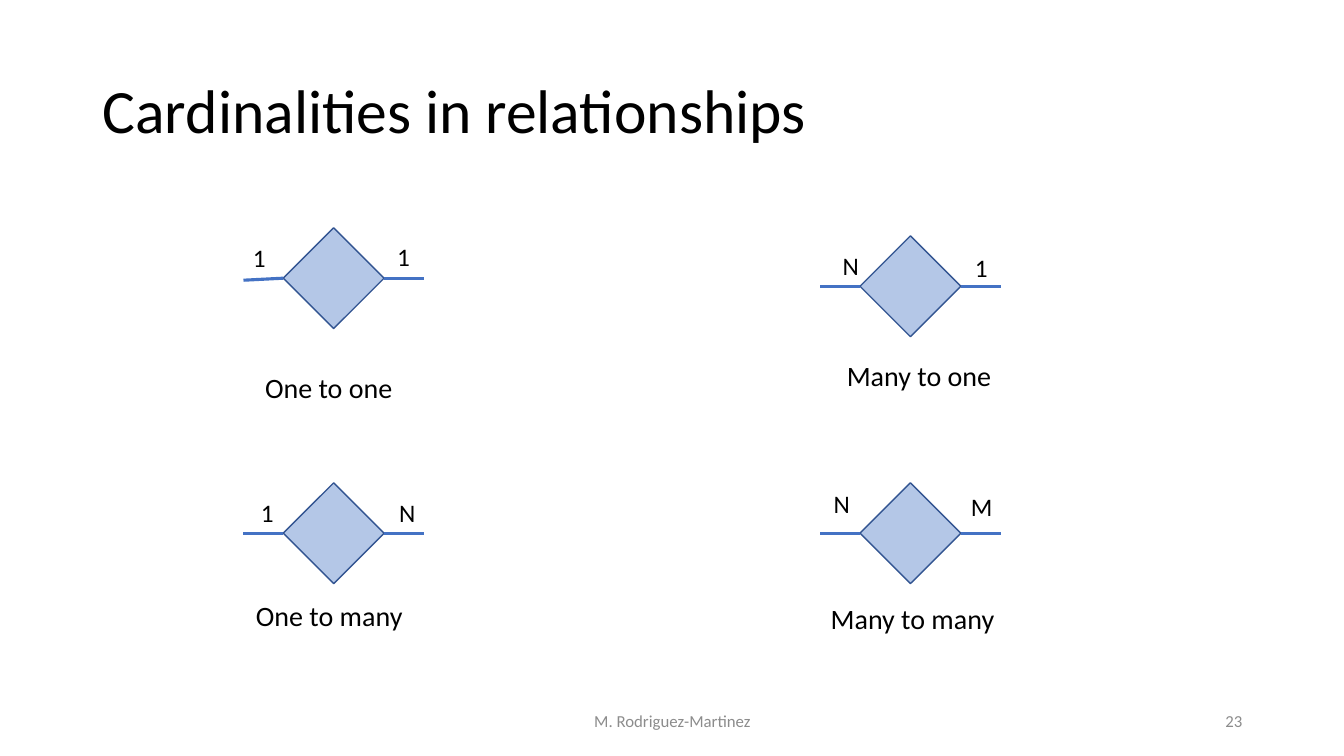
import pptx
import pptx.dml.color
import pptx.enum.shapes
import pptx.enum.text
import pptx.oxml
import pptx.oxml.ns
import pptx.util

Inches = pptx.util.Inches
Pt = pptx.util.Pt
RGBColor = pptx.dml.color.RGBColor
ALIGN = pptx.enum.text.PP_ALIGN
ANCHOR = pptx.enum.text.MSO_ANCHOR

BLACK = RGBColor(0x00, 0x00, 0x00)
GRAY = RGBColor(0x8C, 0x8C, 0x8C)
PALE_BLUE = RGBColor(0xB4, 0xC7, 0xE7)
DARK_BLUE = RGBColor(0x32, 0x54, 0x91)
BLUE = RGBColor(0x44, 0x72, 0xC4)

SIDE = 1.0      # diamond width and height
REACH = 0.395   # length of a relationship line


class Deck:
    font = "Calibri"

    def __init__(self, prs):
        self.s = prs.slides.add_slide(prs.slide_layouts[6])

    def text(self, text, x, y, w, h, size, color=BLACK, align=ALIGN.LEFT,
             anchor=ANCHOR.TOP, wrap=False, spacing=1.0):
        tf = self.s.shapes.add_textbox(
            Inches(x), Inches(y), Inches(w), Inches(h)).text_frame
        fit = pptx.enum.text.MSO_AUTO_SIZE
        frame = {"word_wrap": wrap, "vertical_anchor": anchor,
                 "auto_size": fit.NONE if wrap else fit.SHAPE_TO_FIT_TEXT}
        for name, value in frame.items():
            setattr(tf, name, value)
        p = tf.paragraphs[0]
        for name, value in {"alignment": align, "line_spacing": spacing}.items():
            setattr(p, name, value)
        r = p.add_run()
        r.text = text
        for name, value in {"name": self.font, "size": Pt(size)}.items():
            setattr(r.font, name, value)
        r.font.color.rgb = color

    def diamond(self, x, y):
        sp = self.s.shapes.add_shape(
            pptx.enum.shapes.MSO_SHAPE.DIAMOND,
            Inches(x), Inches(y), Inches(SIDE), Inches(SIDE))
        sp.shadow.inherit = False
        sp.fill.solid()
        sp.fill.fore_color.rgb = PALE_BLUE
        sp.line.color.rgb = DARK_BLUE
        sp.line.width = Pt(1)
        return sp

    def line(self, sp, site, x1, y1, x2, y2):
        cxn = self.s.shapes.add_connector(
            pptx.enum.shapes.MSO_CONNECTOR.STRAIGHT,
            Inches(x1), Inches(y1), Inches(x2), Inches(y2))
        cxn.begin_connect(sp, site)
        cxn.line.color.rgb = BLUE
        cxn.line.width = Pt(2.25)
        cxn._element.spPr.append(
            pptx.oxml.parse_xml("<a:effectLst %s/>" % pptx.oxml.ns.nsdecls("a")))

    def relationship(self, x, y, left, right, caption, drop=0.0):
        """Diamond with a line and a cardinality on each side, and a caption."""
        sp = self.diamond(x, y)
        mid, end = y + SIDE / 2, x + SIDE
        self.line(sp, 1, x, mid, x - REACH, mid + drop)
        self.line(sp, 3, end, mid, end + REACH, mid)
        for label in (left, right):
            self.text(*label, 0.4, 18)
        self.text(*caption, 0.44, 20)


# Each label: text, left, top, width
RELATIONSHIPS = [
    (2.81, 2.26, ("1", 2.41, 2.36, 0.33), ("1", 3.84, 2.34, 0.33),
     ("One to one", 2.53, 3.63, 1.48), 0.02),
    (2.81, 4.79, ("1", 2.49, 4.88, 0.33), ("N", 3.86, 4.88, 0.36),
     ("One to many", 2.44, 5.89, 1.67)),
    (8.53, 2.34, ("N", 8.26, 2.43, 0.36), ("1", 9.57, 2.45, 0.33),
     ("Many to one", 8.3, 3.51, 1.65)),
    (8.53, 4.79, ("N", 8.17, 4.8, 0.36), ("M", 9.53, 4.83, 0.42),
     ("Many to many", 8.14, 5.92, 1.84)),
]


def main():
    prs = pptx.Presentation()
    prs.slide_width, prs.slide_height = Inches(13.33), Inches(7.5)
    deck = Deck(prs)

    # Title
    deck.text("Cardinalities in relationships", 0.92, 0.4, 11.5, 1.45, 44,
              anchor=ANCHOR.MIDDLE, wrap=True, spacing=0.9)

    # Relationship diagrams
    for item in RELATIONSHIPS:
        deck.relationship(*item)

    # Footer and slide number
    for text, x, w, align in (("M. Rodriguez-Martinez", 4.42, 4.5, ALIGN.CENTER),
                              ("23", 9.42, 3, ALIGN.RIGHT)):
        deck.text(text, x, 6.95, w, 0.4, 12, GRAY, align, ANCHOR.MIDDLE, True)

    prs.save("out.pptx")


if __name__ == "__main__":
    main()
